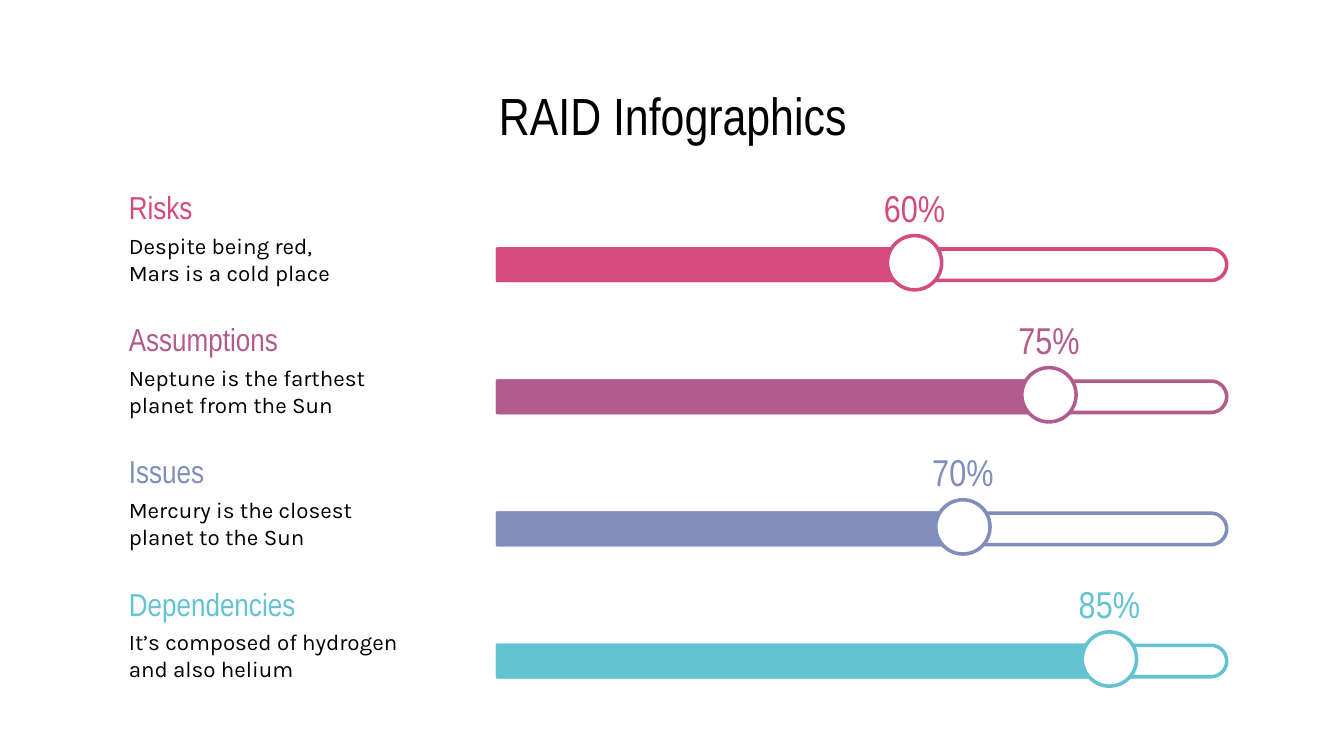
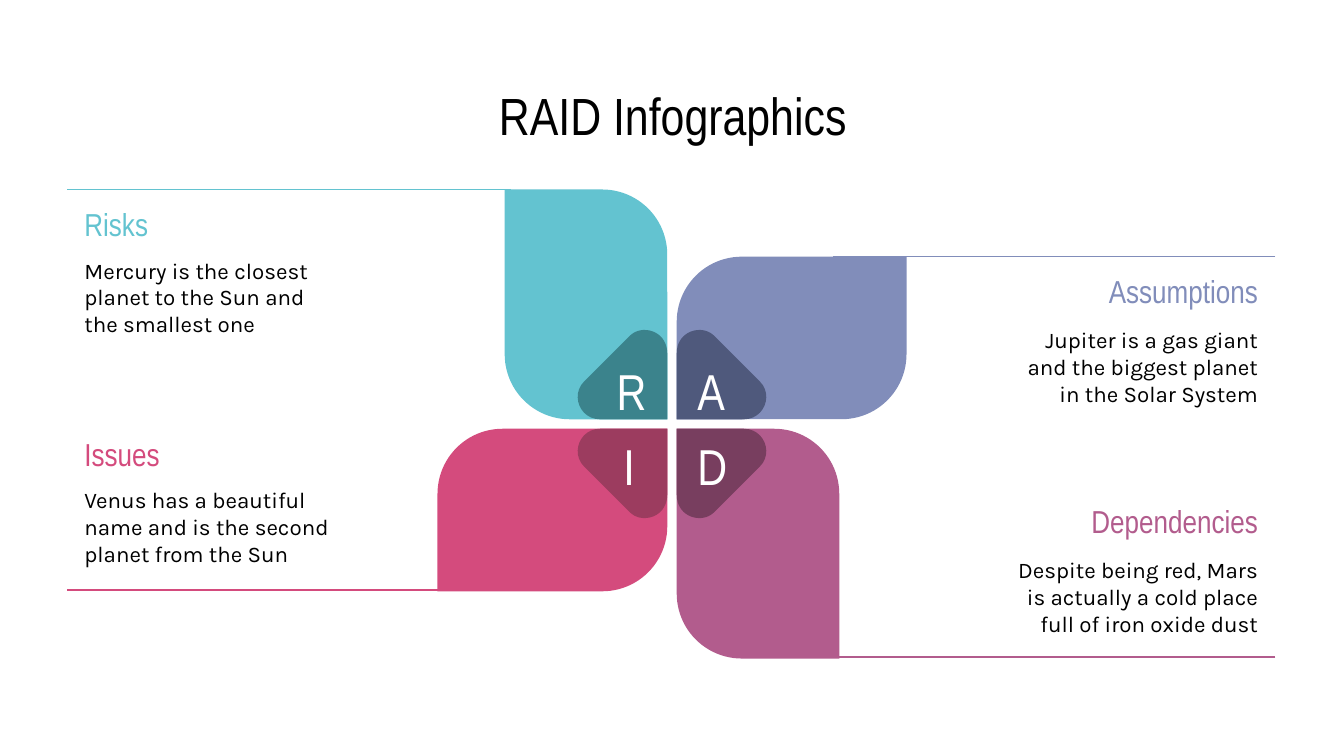
from lxml.etree import SubElement
from pptx import Presentation
from pptx.dml.color import RGBColor
from pptx.enum.shapes import MSO_CONNECTOR, MSO_SHAPE
from pptx.enum.text import MSO_ANCHOR, MSO_AUTO_SIZE, PP_ALIGN
from pptx.oxml.ns import qn
from pptx.util import Inches, Pt

COLUMNS = 100
TITLE_ONLY = 5
HEADING_FONT, BODY_FONT = "Arial Narrow", "Karla"
BLACK, WHITE = "000000", "FFFFFF"
PINK, PLUM, BLUE, TEAL = "D44B7D", "B25C8D", "818DBA", "63C3D0"
LEFT, CENTER, RIGHT = PP_ALIGN.LEFT, PP_ALIGN.CENTER, PP_ALIGN.RIGHT
TOP, MIDDLE = MSO_ANCHOR.TOP, MSO_ANCHOR.MIDDLE


def color(hex_value):
    """Turn a hex string into a colour."""
    return RGBColor.from_string(hex_value)


def bezier(start, first, second, end, steps=12):
    """Return points along a cubic curve, without its start."""
    points = []
    for step in range(1, steps + 1):
        t = step / steps
        weights = ((1 - t) ** 3, 3 * t * (1 - t) ** 2, 3 * t * t * (1 - t), t ** 3)
        curve = (start, first, second, end)
        points.append(tuple(sum(w * p[axis] for w, p in zip(weights, curve)) for axis in (0, 1)))
    return points


class Deck:
    """Hold the style, the square grid of 100 columns and the current slide."""

    def __init__(self):
        """Start an empty widescreen deck."""
        self.presentation = Presentation()
        self.presentation.slide_width = Inches(10)
        self.presentation.slide_height = Inches(5.625)
        self.unit = self.presentation.slide_width / COLUMNS
        self.slide = None

    def grid(self, *cells):
        """Convert grid cells to slide lengths."""
        return [round(cell * self.unit) for cell in cells]

    def new_slide(self, title):
        """Add a slide with the shared title style."""
        layout = self.presentation.slide_layouts[TITLE_ONLY]
        self.slide = self.presentation.slides.add_slide(layout)
        heading = self.slide.shapes.title
        heading.left, heading.top, heading.width, heading.height = self.grid(7.8, 5.9, 84.5, 5.3)
        self.set_text(heading.text_frame, title, 28, HEADING_FONT, BLACK, CENTER, MIDDLE)

    def set_text(self, frame, words, size, font, ink, align, anchor):
        """Fill a text frame with one formatted paragraph."""
        frame.word_wrap = True
        frame.auto_size = MSO_AUTO_SIZE.NONE
        frame.vertical_anchor = anchor
        frame.margin_left = frame.margin_right = Inches(0.1)
        frame.margin_top = frame.margin_bottom = Inches(0.1)
        paragraph = frame.paragraphs[0]
        paragraph.alignment = align
        for number, line in enumerate(words.split("\n")):
            if number:
                paragraph.add_line_break()
            run = paragraph.add_run()
            run.text = line
            run.font.size, run.font.name = Pt(size), font
            run.font.color.rgb = color(ink)

    def text(self, box, words, size, font, ink, align=LEFT, anchor=MIDDLE):
        """Add a text box."""
        frame = self.slide.shapes.add_textbox(*self.grid(*box)).text_frame
        self.set_text(frame, words, size, font, ink, align, anchor)

    def heading(self, box, words, ink, align=LEFT):
        """Add a coloured heading."""
        self.text(box, words, 17, HEADING_FONT, ink, align)

    def body(self, box, words, align=LEFT, anchor=MIDDLE):
        """Add a description."""
        self.text(box, words, 12, BODY_FONT, BLACK, align, anchor)

    def paint(self, shape, fill=None, line=None, weight=1.9):
        """Set the fill and outline of a shape."""
        shape.shadow.inherit = False
        if fill:
            shape.fill.solid()
            shape.fill.fore_color.rgb = color(fill)
        else:
            shape.fill.background()
        if line:
            shape.line.color.rgb = color(line)
            shape.line.width = Pt(weight)
        else:
            shape.line.fill.background()

    def preset(self, kind, box, fill, line=None, adjustments=()):
        """Add a preset shape."""
        shape = self.slide.shapes.add_shape(kind, *self.grid(*box))
        for index, value in enumerate(adjustments):
            shape.adjustments[index] = value
        self.paint(shape, fill, line)

    def outline(self, start, segments, fill=None, line=None):
        """Add a closed outline of lines (one point) and curves (three points)."""
        points = [start]
        for segment in segments:
            points += bezier(points[-1], *segment) if len(segment) == 3 else segment
        builder = self.slide.shapes.build_freeform(*self.grid(*start), scale=1.0)
        builder.add_line_segments([self.grid(*point) for point in points[1:]], close=True)
        self.paint(builder.convert_to_shape(), fill, line)

    def bar(self, left, top, right, height, fill=None, line=None):
        """Add a bar with a square left end and a round right end."""
        radius, bottom = height / 2, top + height
        bend, middle = radius * 0.55, top + radius
        turn = right - radius
        self.outline((left, top), [
            [(turn, top)],
            [(turn + bend, top), (right, middle - bend), (right, middle)],
            [(right, middle + bend), (turn + bend, bottom), (turn, bottom)],
            [(left, bottom)],
        ], fill, line)

    def rule(self, start, end, ink):
        """Add a thin straight line."""
        connector = self.slide.shapes.add_connector(
            MSO_CONNECTOR.STRAIGHT, *self.grid(*start, *end))
        connector.line.color.rgb = color(ink)
        connector.line.width = Pt(0.75)
        SubElement(connector._element.spPr, qn("a:effectLst"))


def build_sliders(deck):
    """Build the slide with four percentage sliders."""
    sliders = [
        ("Risks", "Despite being red,\nMars is a cold place", "60%", 68.05, PINK),
        ("Assumptions", "Neptune is the farthest planet from the Sun", "75%", 78.05, PLUM),
        ("Issues", "Mercury is the closest planet to the Sun", "70%", 71.65, BLUE),
        ("Dependencies", "It’s composed of hydrogen and also helium", "85%", 82.55, TEAL),
    ]
    first_row, pitch, bar_left, bar_height, knob, inset = 13.8, 9.83, 36.9, 2.6, 4.3, 0.13
    deck.new_slide("RAID Infographics")
    for row, (name, fact, share, center, ink) in enumerate(sliders):
        top = first_row + row * pitch
        bar_top = top + 4.6
        deck.bar(bar_left + inset, bar_top + inset, 91.4 - inset, bar_height - 2 * inset, line=ink)
        deck.bar(bar_left, bar_top, center + 0.7, bar_height, fill=ink)
        knob_size = knob - 2 * inset
        deck.preset(MSO_SHAPE.OVAL, (center - knob_size / 2, top + 3.6 + inset,
                                     knob_size, knob_size), WHITE, ink)
        deck.text((center - 4.15, top - 0.3, 8.3, 3.9), share, 20, HEADING_FONT, ink, CENTER)
        deck.heading((8.6, top, 22.2, 3.2), name, ink)
        deck.body((8.6, top + 3.3, 22.2, 4.3), fact)


def build_petals(deck):
    """Build the slide with four petals around a centre."""
    tall, wide = (12.1, 17.1), (17.1, 12.1)
    petals = [
        ("I", "Issues", "Venus has a beautiful name and is the second planet from the Sun",
         PINK, "9C3C5F", wide, -1, 1),
        ("R", "Risks", "Mercury is the closest planet to the Sun and the smallest one",
         TEAL, "3B838C", tall, -1, -1),
        ("A", "Assumptions", "Jupiter is a gas giant and the biggest planet in the Solar System",
         BLUE, "4F597C", wide, 1, -1),
        ("D", "Dependencies", "Despite being red, Mars is actually a cold place full of iron oxide dust",
         PLUM, "783E5F", tall, 1, 1),
    ]
    center_x, center_y, half_gap = 50, 31.55, 0.35
    wedge = [
        [(5, 0)],
        [(6.5, 0), (7.2, 1.8), (6.2, 2.8)],
        [(2.8, 6.2)],
        [(2.5, 6.5), (2.1, 6.65), (1.7, 6.65)],
        [(0.8, 6.65), (0, 6), (0, 4.9)],
    ]
    deck.new_slide("RAID Infographics")
    for letter, name, fact, ink, shade, (width, height), across, down in petals:
        inner_x, inner_y = center_x + across * half_gap, center_y + down * half_gap
        left, top = min(inner_x, inner_x + across * width), min(inner_y, inner_y + down * height)
        corners = (0.4, 0) if width > height else (0, 0.4)
        deck.preset(MSO_SHAPE.ROUND_2_DIAG_RECTANGLE, (left, top, width, height), ink,
                    adjustments=corners)
        deck.outline((inner_x, inner_y), [
            [(inner_x + across * x, inner_y + down * y) for x, y in segment] for segment in wedge
        ], shade)
        deck.text((47.9 + 3 * across, 28.6 + 2.8 * down, 3.8, 5.3), letter, 27, HEADING_FONT,
                  WHITE, CENTER, TOP)

        below = down > 0
        rule_y = top + height - 0.1 if below else top
        text_top = rule_y - 12.5 if below else rule_y + 0.2
        text_left, edge, align, anchor = (
            (74, 94.9, RIGHT, MIDDLE) if across > 0 else (5.3, 5, LEFT, TOP))
        deck.heading((text_left, text_top, 20.6, 4.7), name, ink, align)
        deck.body((text_left, text_top + 3.8, 20.6, 8.4), fact, align, anchor)
        deck.rule((edge, rule_y), (center_x + across * 12, rule_y), ink)


def main():
    """Build and save the deck."""
    deck = Deck()
    build_sliders(deck)
    build_petals(deck)
    deck.presentation.save("out.pptx")


if __name__ == "__main__":
    main()
